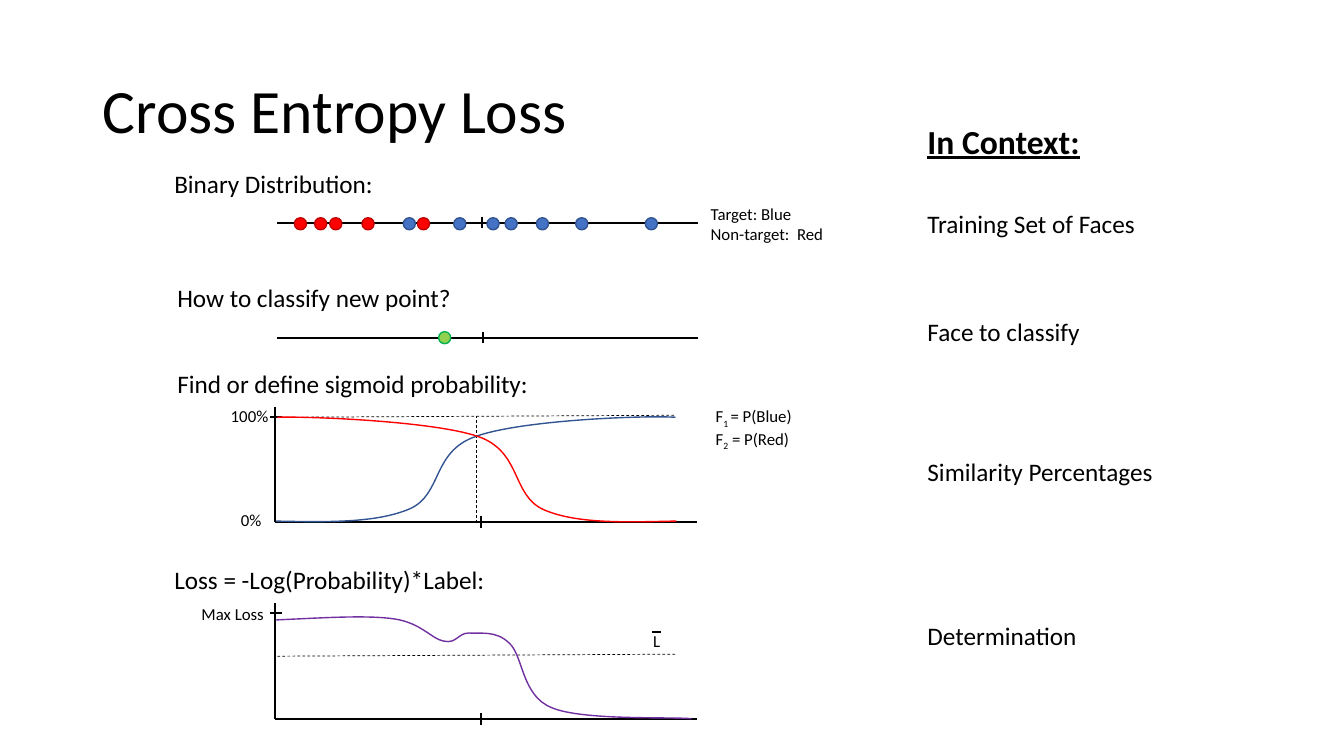
from dataclasses import dataclass
from typing import NamedTuple

from lxml.etree import SubElement
from pptx import Presentation
from pptx.dml.color import RGBColor
from pptx.enum.dml import MSO_LINE_DASH_STYLE as Dash
from pptx.enum.shapes import MSO_CONNECTOR as Connector, MSO_SHAPE as Shape
from pptx.enum.text import MSO_ANCHOR as Anchor, MSO_AUTO_SIZE as AutoSize, PP_ALIGN as Align
from pptx.oxml.ns import qn
from pptx.util import Emu, Inches, Pt


@dataclass(frozen=True)
class Theme:
    font: str = "Calibri"
    ink: str = "000000"
    blue: str = "4472C4"
    blue_edge: str = "325491"
    red: str = "FF0000"
    red_edge: str = "C00000"
    green: str = "92D050"
    green_edge: str = "00B050"
    purple: str = "7030A0"
    title: int = 44
    heading: int = 24
    body: int = 18
    note: int = 12
    axis: float = 1.5
    curve: float = 1
    guide: float = 0.5


class Run(NamedTuple):
    text: str
    subscript: bool = False


class Label(NamedTuple):
    left: float
    top: float
    width: float
    height: float
    size: int
    paragraphs: list[list[Run]]
    emphasis: bool = False


class Line(NamedTuple):
    start: tuple[float, float]
    end: tuple[float, float]
    guide: bool = False


class Dot(NamedTuple):
    left: float
    top: float
    fill: str
    edge: str


class Curve(NamedTuple):
    color: str
    points: list[tuple[float, float]]


THEME = Theme()
COLUMNS, ROWS = 133.3, 75
DOT_SIZE = 1.2

presentation = Presentation()
presentation.slide_width, presentation.slide_height = Inches(13.33), Inches(7.5)
slide = presentation.slides.add_slide(presentation.slide_layouts[5])


def column(count: float) -> Emu:
    return Emu(round(presentation.slide_width * count / COLUMNS))


def row(count: float) -> Emu:
    return Emu(round(presentation.slide_height * count / ROWS))


def color(value: str) -> RGBColor:
    return RGBColor.from_string(value)


def add_run(paragraph, content: Run, size: int, emphasis: bool = False) -> None:
    run = paragraph.add_run()
    run.text = content.text
    font = run.font
    font.name, font.size = THEME.font, Pt(size)
    font.color.rgb = color(THEME.ink)
    if emphasis:
        font.bold = font.underline = True
    if content.subscript:
        run._r.get_or_add_rPr().set("baseline", "-25000")


def draw_title(text: str) -> None:
    title = slide.shapes.title
    title.left, title.top, title.width, title.height = column(9.2), row(4), column(115), row(14.5)
    title.text_frame.vertical_anchor = Anchor.MIDDLE
    paragraph = title.text_frame.paragraphs[0]
    paragraph.alignment, paragraph.line_spacing = Align.LEFT, 0.9
    add_run(paragraph, Run(text), THEME.title)


def draw_label(label: Label) -> None:
    box = slide.shapes.add_textbox(column(label.left), row(label.top), column(label.width), row(label.height))
    frame = box.text_frame
    frame.word_wrap, frame.auto_size = True, AutoSize.SHAPE_TO_FIT_TEXT
    for index, runs in enumerate(label.paragraphs):
        paragraph = frame.add_paragraph() if index else frame.paragraphs[0]
        for run in runs:
            add_run(paragraph, run, label.size, label.emphasis)


def draw_line(line: Line) -> None:
    (start_x, start_y), (end_x, end_y) = line.start, line.end
    connector = slide.shapes.add_connector(
        Connector.STRAIGHT, column(start_x), row(start_y), column(end_x), row(end_y))
    connector.line.color.rgb = color(THEME.ink)
    connector.line.width = Pt(THEME.guide if line.guide else THEME.axis)
    if line.guide:
        connector.line.dash_style = Dash.DASH
    SubElement(connector._element.spPr, qn("a:effectLst"))


def draw_dot(dot: Dot) -> None:
    shape = slide.shapes.add_shape(Shape.OVAL, column(dot.left), row(dot.top), column(DOT_SIZE), row(DOT_SIZE))
    shape.shadow.inherit = False
    shape.fill.solid()
    shape.fill.fore_color.rgb = color(dot.fill)
    shape.line.color.rgb, shape.line.width = color(dot.edge), Pt(1)


def draw_curve(curve: Curve) -> None:
    start, *controls = [(column(x), row(y)) for x, y in curve.points]
    builder = slide.shapes.build_freeform(*start)
    builder.add_line_segments(controls, close=False)
    shape = builder.convert_to_shape()
    shape.shadow.inherit = False
    shape.fill.background()
    shape.line.color.rgb, shape.line.width = color(curve.color), Pt(THEME.curve)
    outline = shape._element.xpath(".//a:path")[0]
    segments = outline.findall(qn("a:lnTo"))
    for first in range(0, len(segments), 3):
        bezier = SubElement(outline, qn("a:cubicBezTo"))
        for segment in segments[first:first + 3]:
            bezier.append(segment[0])
            outline.remove(segment)


def plain(*texts: str) -> list[list[Run]]:
    return [[Run(text)] for text in texts]


def number_line(left: float, level: float, middle: float) -> list[Line]:
    return [Line((left, level), (left + 41.75, level)), Line((middle, level - 0.6), (middle, level + 0.5))]


def plot_axes(floor: float) -> list[Line]:
    top_tick = floor - 10.45
    return [
        Line((27.3, floor), (69.1, floor)),
        Line((27.3, floor - 11.45), (27.3, floor)),
        Line((26.8, top_tick), (28, top_tick)),
        Line((47.7, floor - 0.6), (47.7, floor + 0.6)),
    ]


lines = [
    *number_line(27.5, 22.15, 47.8),
    *number_line(27.5, 33.5, 47.9),
    *plot_axes(51.8),
    Line((27.4, 41.4), (67, 41.2), guide=True),
    Line((47.2, 51.9), (47.2, 41.3), guide=True),
    *plot_axes(71.3),
    Line((27.5, 65.1), (67.1, 64.9), guide=True),
    Line((64.7, 62.7), (65.6, 62.7)),
]

dots = [
    *(Dot(left, 21.6, THEME.blue, THEME.blue_edge) for left in (40, 45, 48.3, 50.1, 53.2, 57.1, 64)),
    *(Dot(left, 21.6, THEME.red, THEME.red_edge) for left in (29.2, 31.2, 32.7, 35.9, 41.4)),
    Dot(43.5, 32.9, THEME.green, THEME.green_edge),
]

curves = [
    Curve(THEME.blue_edge, [
        (27.4, 51.7), (32.4, 51.8), (37.3, 51.9), (40.6, 50.5), (43.9, 49.1),
        (42.8, 44.8), (47.2, 43.3), (51.6, 41.7), (63.6, 41.2), (67, 41.4)]),
    Curve(THEME.red, [
        (67.1, 51.7), (62.2, 51.8), (57.3, 52), (54, 50.6), (50.7, 49.2),
        (51.8, 44.8), (47.4, 43.3), (43, 41.8), (30.9, 41.3), (27.5, 41.4)]),
    Curve(THEME.purple, [
        (27.4, 61.5), (31.9, 61.3), (36.3, 61), (39.1, 61.4), (41.8, 61.8),
        (42.8, 63.4), (44, 63.6), (45.3, 63.9), (45.4, 62.8), (46.5, 62.8),
        (47.6, 62.9), (49.2, 62.5), (50.5, 63.8), (51.9, 65), (51.7, 69),
        (54.7, 70.2), (57.7, 71.5), (66.5, 71.1), (68.6, 71.3)]),
]

stages = [
    (16.3, 16.2, "Binary Distribution:"),
    (16.6, 27.5, "How to classify new point?"),
    (16.6, 36.1, "Find or define sigmoid probability:"),
    (16.3, 55.5, "Loss = -Log(Probability)*Label:"),
]
contexts = [
    (20.2, "Training Set of Faces"),
    (30.9, "Face to classify"),
    (44.8, "Similarity Percentages"),
    (61, "Determination"),
]
marks = [
    (21.9, 39.8, 6.1, "100%"),
    (22.9, 50.1, 6.1, "0%"),
    (19, 59.4, 8.5, "Max Loss"),
    (63.8, 62.1, 3, "L"),
]
probabilities = [
    [Run("F"), Run("1 ", True), Run("= P(Blue) ")],
    [Run("F"), Run("2", True), Run(" = P(Red)")],
]
labels = [
    *(Label(left, top, 38.1, 4, THEME.body, plain(text)) for left, top, text in stages),
    Label(91, 11.5, 24.5, 5, THEME.heading, plain("In Context:"), emphasis=True),
    *(Label(91, top, 24.5, 4, THEME.body, plain(text)) for top, text in contexts),
    *(Label(left, top, width, 3, THEME.note, plain(text)) for left, top, width, text in marks),
    Label(69.5, 19.7, 14.5, 5, THEME.note, plain("Target: Blue", "Non-target:  Red")),
    Label(70, 39.8, 11.3, 5, THEME.note, probabilities),
]

draw_title("Cross Entropy Loss")
for draw, items in ((draw_line, lines), (draw_dot, dots), (draw_curve, curves), (draw_label, labels)):
    for item in items:
        draw(item)

presentation.save("out.pptx")
